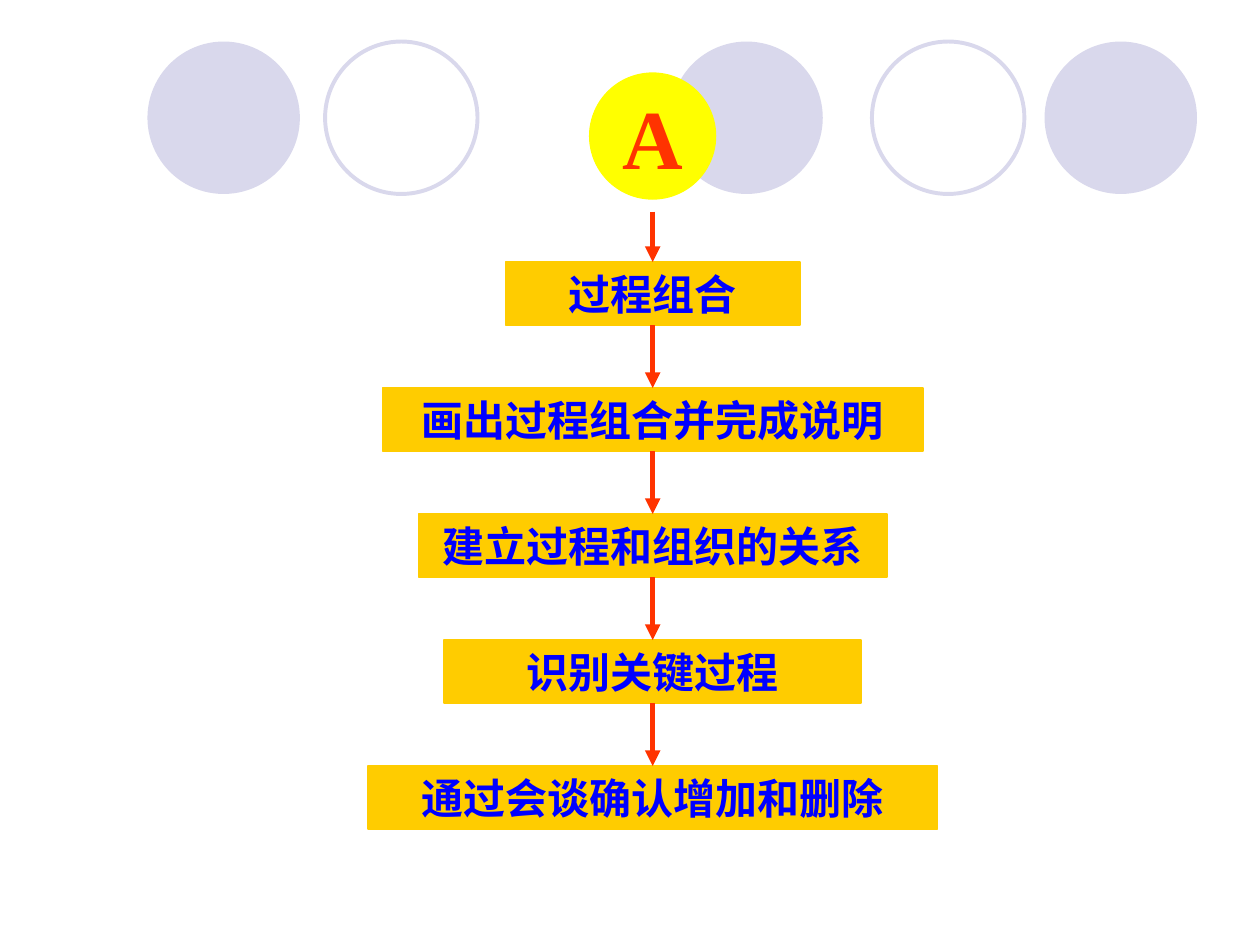
from lxml.etree import SubElement
from pptx import Presentation
from pptx.dml.color import RGBColor
from pptx.enum.shapes import MSO_CONNECTOR, MSO_SHAPE
from pptx.enum.text import MSO_ANCHOR, PP_ALIGN
from pptx.oxml.ns import qn
from pptx.util import Inches, Pt

LILAC, YELLOW, GOLD, RED, BLUE = "D9D8EC", "FFFF00", "FFCC00", "FF3300", "0000FF"
FONT = "Times New Roman"
STEPS = [
    ("过程组合", 2.34),
    ("画出过程组合并完成说明", 4.29),
    ("建立过程和组织的关系", 3.72),
    ("识别关键过程", 3.31),
    ("通过会谈确认增加和删除", 4.52),
]


def rgb(value):
    return RGBColor.from_string(value)


def add_box(s, kind, left, top, width, height, fill=None, line=None, weight=0.75):
    sp = s.shapes.add_shape(kind, Inches(left), Inches(top), Inches(width), Inches(height))
    sp.shadow.inherit = False
    if fill:
        sp.fill.solid()
        sp.fill.fore_color.rgb = rgb(fill)
    else:
        sp.fill.background()
    if line:
        sp.line.color.rgb = rgb(line)
        sp.line.width = Pt(weight)
    else:
        sp.line.fill.background()
    return sp


def add_label(sp, text, size, color):
    tf = sp.text_frame
    tf.word_wrap = False
    tf.vertical_anchor = MSO_ANCHOR.MIDDLE
    p = tf.paragraphs[0]
    p.alignment = PP_ALIGN.CENTER
    r = p.add_run()
    r.text = text
    r.font.name = FONT
    r.font.size = Pt(size)
    r.font.bold = True
    r.font.color.rgb = rgb(color)


def add_arrow(s, x, top, bottom, start=None, end=None):
    """Draw a downward arrow, joined to the shapes given at its ends."""
    cn = s.shapes.add_connector(
        MSO_CONNECTOR.STRAIGHT, Inches(x), Inches(top), Inches(x), Inches(bottom))
    if start is not None:
        cn.begin_connect(start, 2)
    if end is not None:
        cn.end_connect(end, 0)
    cn.line.color.rgb = rgb(RED)
    cn.line.width = Pt(3)
    SubElement(cn.line._get_or_add_ln(), qn("a:tailEnd"), type="triangle")
    SubElement(cn._element.spPr, qn("a:effectLst"))


def add_circle_band(s, top, size):
    """Draw the decorative row of solid and outlined circles."""
    for left in (5.32, 8.29, 1.17):
        add_box(s, MSO_SHAPE.OVAL, left, top, size, size, fill=LILAC)
    for left in (6.92, 2.58):
        add_box(s, MSO_SHAPE.OVAL, left, top, size, size, line=LILAC, weight=2.25)


def add_flow(s, center, top, start_size=1, first_step=1.5, pitch=1, height=0.5):
    """Stack the start circle and the steps on one vertical axis."""
    start = add_box(s, MSO_SHAPE.OVAL, center - start_size / 2, top,
                    start_size, start_size, YELLOW, YELLOW)
    add_label(start, "A", 48, RED)

    boxes = []
    for i, (text, width) in enumerate(STEPS):
        sp = add_box(s, MSO_SHAPE.RECTANGLE, center - width / 2,
                     top + first_step + i * pitch, width, height, GOLD, GOLD)
        add_label(sp, text, 24, BLUE)
        boxes.append(sp)

    add_arrow(s, center, top + start_size + 0.1, top + first_step, end=boxes[0])
    for i, (upper, lower) in enumerate(zip(boxes, boxes[1:])):
        y = top + first_step + i * pitch
        add_arrow(s, center, y + height, y + pitch, upper, lower)


def main():
    prs = Presentation()
    prs.slide_width, prs.slide_height = Inches(10), Inches(7.5)
    s = prs.slides.add_slide(prs.slide_layouts[6])
    add_circle_band(s, top=0.33, size=1.21)
    add_flow(s, center=5.18, top=0.58)
    prs.save("out.pptx")


if __name__ == "__main__":
    main()
